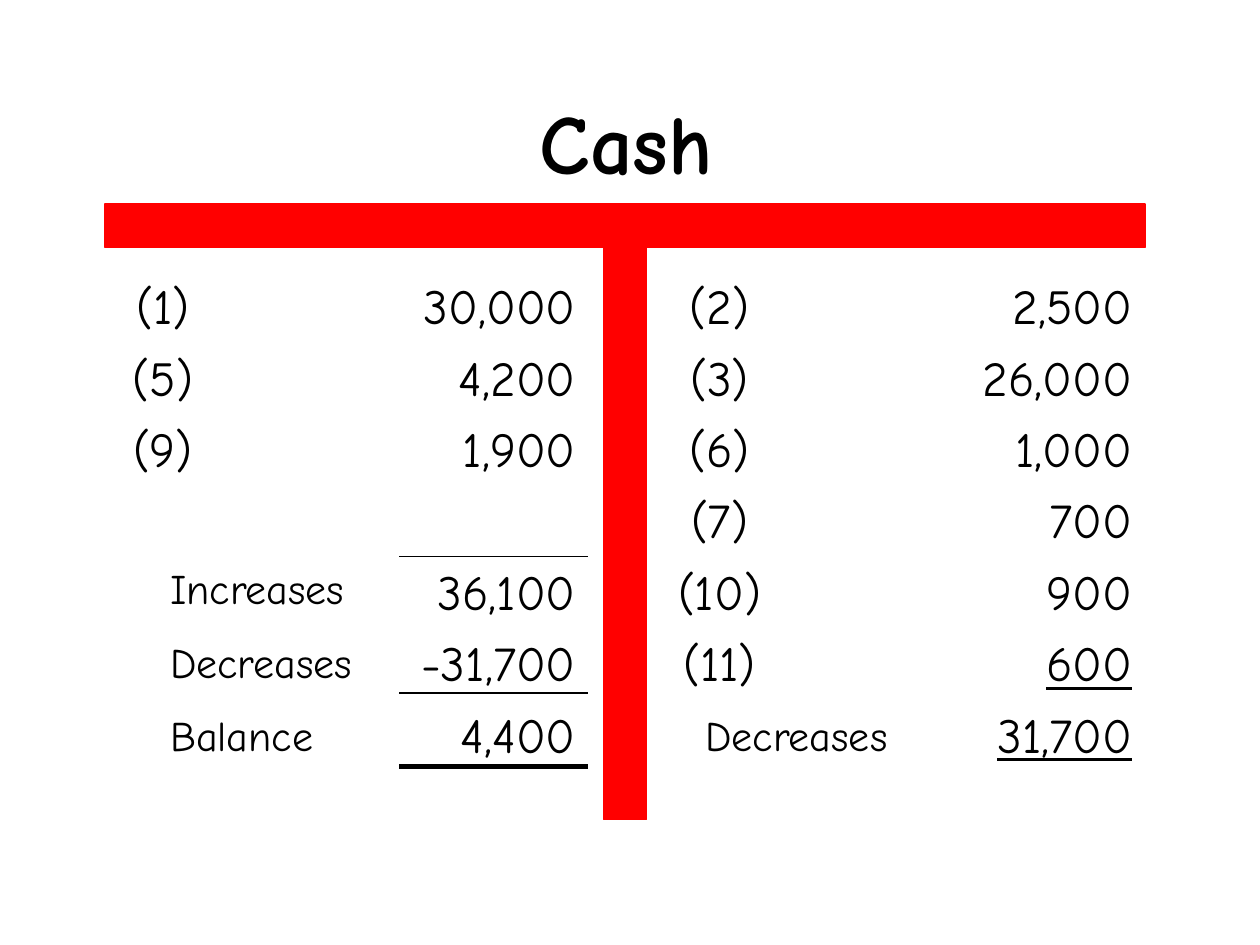
import lxml.etree
import pptx
import pptx.dml.color
import pptx.enum.shapes
import pptx.enum.text
import pptx.oxml.ns
import pptx.util

Cm = pptx.util.Cm
Pt = pptx.util.Pt
ALIGN = pptx.enum.text.PP_ALIGN
BLACK = pptx.dml.color.RGBColor(0, 0, 0)
RED = pptx.dml.color.RGBColor(255, 0, 0)
FONT = "Comic Neue"
COLS = (2.33, 7.41)
ROW = 1.44

DEBITS = [
    ("(1)", "30,000"), ("(5)", "4,200"), ("(9)", "1,900"), ("", ""),
    ("", "36,100"), ("", "-31,700"), ("", "4,400"),
]
CREDITS = [
    ("(2)", "2,500"), ("(3)", "26,000"), ("(6)", "1,000"), ("(7)", "700"),
    ("(10)", "900"), ("(11)", "600"), ("", "31,700"),
]


def write(frame, text, size=28, align=ALIGN.LEFT, bold=False, under=False):
    para = frame.paragraphs[0]
    para.alignment = align
    run = para.add_run()
    run.text = text
    font = run.font
    font.name = FONT
    font.size = Pt(size)
    font.bold = bold
    font.underline = under
    font.color.rgb = BLACK


def add_text(slide, text, left, top, width, height, **form):
    box = slide.shapes.add_textbox(Cm(left), Cm(top), Cm(width), Cm(height))
    box.text_frame.word_wrap = True
    write(box.text_frame, text, **form)


def add_bar(slide, left, top, width, height):
    bar = slide.shapes.add_shape(
        pptx.enum.shapes.MSO_SHAPE.RECTANGLE,
        Cm(left), Cm(top), Cm(width), Cm(height))
    bar.shadow.inherit = False
    bar.fill.solid()
    bar.fill.fore_color.rgb = RED
    bar.line.color.rgb = RED
    bar.line.width = Pt(1)


def add_rule(slide, left, right, top, weight):
    rule = slide.shapes.add_connector(
        pptx.enum.shapes.MSO_CONNECTOR.STRAIGHT,
        Cm(left), Cm(top), Cm(right), Cm(top))
    rule.line.color.rgb = BLACK
    rule.line.width = Pt(weight)
    props = rule._element.spPr
    lxml.etree.SubElement(props, pptx.oxml.ns.qn("a:effectLst"))


def add_frame(slide, left, top, width, height, thick):
    add_bar(slide, left + (width - thick) / 2, top + thick,
            thick, height - thick)
    add_bar(slide, left, top, width, thick)


def add_side(slide, left, top, rows, under=()):
    table = slide.shapes.add_table(
        len(rows), len(COLS), Cm(left), Cm(top),
        Cm(sum(COLS)), Cm(ROW * len(rows))).table
    table.first_row = False
    table.horz_banding = False
    for col, width in zip(table.columns, COLS):
        col.width = Cm(width)
    for r, pair in enumerate(rows):
        table.rows[r].height = Cm(ROW)
        for c, text in enumerate(pair):
            cell = table.cell(r, c)
            cell.fill.background()
            cell.vertical_anchor = pptx.enum.text.MSO_ANCHOR.MIDDLE
            if text:
                write(cell.text_frame, text,
                      align=(ALIGN.CENTER, ALIGN.RIGHT)[c],
                      under=c == 1 and r in under)


def add_label(slide, text, left, top):
    add_text(slide, text, left, top, 4.65, 1.27, size=24)


def add_debits(slide, left, top):
    add_side(slide, left, top, DEBITS)
    for drop, weight in ((5.72, 0.75), (8.47, 0.75), (9.95, 3)):
        add_rule(slide, left + 5.93, left + sum(COLS), top + drop, weight)
    for i, text in enumerate(("Increases", "Decreases", "Balance")):
        add_label(slide, text, left + 1.06, top + 5.72 + 1.48 * i)


def add_credits(slide, left, top):
    add_side(slide, left, top, CREDITS, under=(5, 6))
    add_label(slide, "Decreases", left + 0.63, top + 8.68)


def main():
    deck = pptx.Presentation()
    deck.slide_width = Cm(25.4)
    deck.slide_height = Cm(19.05)
    slide = deck.slides.add_slide(deck.slide_layouts[6])
    add_frame(slide, 2.12, 4.12, 20.96, 12.4, 0.87)
    add_text(slide, "Cash", 6.15, 1.7, 12.95, 2.29,
             size=48, align=ALIGN.CENTER, bold=True)
    add_debits(slide, 2.12, 5.5)
    add_credits(slide, 13.34, 5.5)
    deck.save("out.pptx")


if __name__ == "__main__":
    main()
